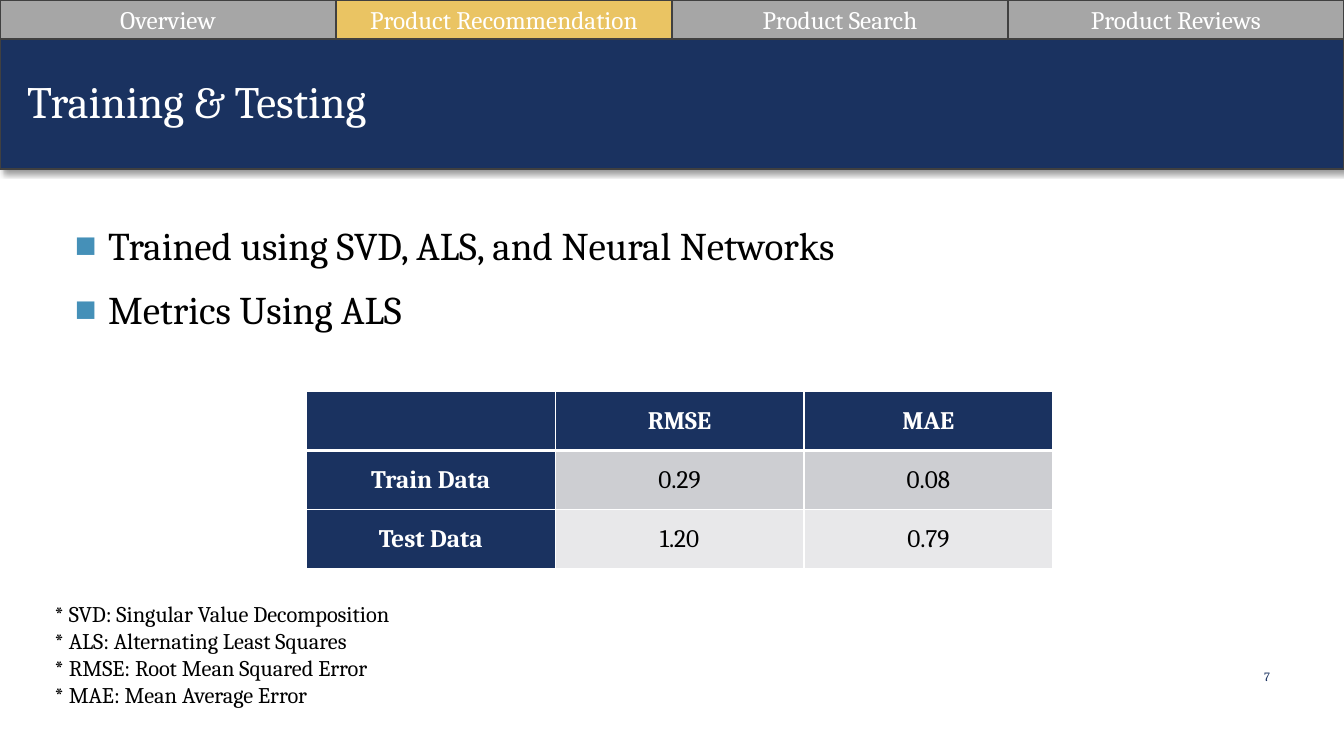
from dataclasses import dataclass

from lxml import etree
from pptx import Presentation
from pptx.dml.color import RGBColor
from pptx.enum.shapes import MSO_SHAPE
from pptx.enum.text import MSO_ANCHOR, MSO_AUTO_SIZE, PP_ALIGN
from pptx.oxml.ns import qn
from pptx.util import Cm, Pt

RECT = MSO_SHAPE.RECTANGLE
LEFT, CENTER, RIGHT = PP_ALIGN.LEFT, PP_ALIGN.CENTER, PP_ALIGN.RIGHT
TOP, MIDDLE = MSO_ANCHOR.TOP, MSO_ANCHOR.MIDDLE
NO_FIT = MSO_AUTO_SIZE.NONE

FONT = "Cambria"
COLORS = {
    "navy": "1A3260",
    "gold": "EAC463",
    "gray": "A6A6A6",
    "outline": "404040",
    "bullet": "4590B8",
    "band_dark": "CDCED2",
    "band_light": "E8E8EA",
    "white": "FFFFFF",
    "black": "000000",
}
SLIDE_W, SLIDE_H = 33.87, 19.05
TABS = ["Overview", "Product Recommendation", "Product Search", "Product Reviews"]
ACTIVE_TAB = "Product Recommendation"
TOPICS = ["Trained using SVD, ALS, and Neural Networks", "Metrics Using ALS"]
METRICS = [
    ["", "RMSE", "MAE"],
    ["Train Data", "0.29", "0.08"],
    ["Test Data", "1.20", "0.79"],
]
BANDS = ["navy", "band_dark", "band_light"]
FOOTNOTES = [
    "* SVD: Singular Value Decomposition",
    "* ALS: Alternating Least Squares",
    "* RMSE: Root Mean Squared Error",
    "* MAE: Mean Average Error",
]


@dataclass
class Box:
    """Position and size in centimetres."""
    left: float
    top: float
    width: float
    height: float

    def emu(self) -> list:
        return [Cm(v) for v in (self.left, self.top, self.width, self.height)]


@dataclass
class Style:
    size: float
    color: str
    align: PP_ALIGN = LEFT
    anchor: MSO_ANCHOR = TOP
    bold: bool = False


def rgb(name: str) -> RGBColor:
    return RGBColor.from_string(COLORS[name])


def sub(parent, tag: str, **attrs):
    """Append a DrawingML child element with the given attributes."""
    return etree.SubElement(parent, qn(f"a:{tag}"), {k: str(v) for k, v in attrs.items()})


def write(tf, lines: list[str], style: Style) -> None:
    for i, line in enumerate(lines):
        p = tf.paragraphs[0] if i == 0 else tf.add_paragraph()
        p.alignment = style.align
        r = p.add_run()
        r.text = line
        for name, value in {"name": FONT, "size": Pt(style.size), "bold": style.bold}.items():
            setattr(r.font, name, value)
        r.font.color.rgb = rgb(style.color)


def fill_frame(tf, lines: list[str], style: Style) -> None:
    for name, value in {"word_wrap": True, "auto_size": NO_FIT,
                        "vertical_anchor": style.anchor}.items():
        setattr(tf, name, value)
    write(tf, lines, style)


def add_text(s, box: Box, lines: list[str], style: Style) -> None:
    fill_frame(s.shapes.add_textbox(*box.emu()).text_frame, lines, style)


def fill_placeholder(ph, box: Box, lines: list[str], style: Style) -> None:
    for name, value in zip(("left", "top", "width", "height"), box.emu()):
        setattr(ph, name, value)
    fill_frame(ph.text_frame, lines, style)


def add_rect(s, box: Box, fill: str, line_width: float):
    sp = s.shapes.add_shape(RECT, *box.emu())
    sp.fill.solid()
    sp.fill.fore_color.rgb = rgb(fill)
    sp.line.color.rgb = rgb("outline")
    sp.line.width = Pt(line_width)
    sp.shadow.inherit = False
    return sp


def add_banner(s) -> None:
    """Draw the shadowed title band behind the placeholders."""
    sp = add_rect(s, Box(0, 0.97, SLIDE_W, 3.3), "navy", 1.5)
    effects = sp._element.spPr.find(qn("a:effectLst"))
    shadow = sub(effects, "outerShdw", blurRad=Pt(4), dist=Pt(3), dir=45 * 60000,
                 algn="tl", rotWithShape=0)
    sub(sub(shadow, "srgbClr", val=COLORS["black"]), "alpha", val=40000)
    s.shapes._spTree.insert(2, sp._element)


def add_tabs(s) -> None:
    width = SLIDE_W / len(TABS)
    style = Style(18, "white", CENTER, MIDDLE)
    for i, label in enumerate(TABS):
        fill = "gold" if label == ACTIVE_TAB else "gray"
        sp = add_rect(s, Box(i * width, 0, width, 0.99), fill, 1.75)
        fill_frame(sp.text_frame, [label], style)


def add_bullets(tf) -> None:
    for p in tf.paragraphs:
        p.space_after = Pt(6)
        pPr = p._p.get_or_add_pPr()
        pPr.set("marL", str(Cm(0.84)))
        pPr.set("indent", str(-Cm(0.84)))
        sub(sub(pPr, "buClr"), "srgbClr", val=COLORS["bullet"])
        sub(pPr, "buSzPct", val=92000)
        sub(pPr, "buChar", char="■")


def set_borders(cell, widths: dict[str, float]) -> None:
    """Give the cell white borders; must run before its fill is set."""
    tcPr = cell._tc.get_or_add_tcPr()
    for side, width in widths.items():
        ln = sub(tcPr, f"ln{side}", w=Pt(width))
        sub(sub(ln, "solidFill"), "srgbClr", val=COLORS["white"])


def add_metrics(s) -> None:
    rows, cols = len(METRICS), len(METRICS[0])
    box = Box(7.72, 9.86, cols * 6.27, rows * 1.49)
    table = s.shapes.add_table(rows, cols, *box.emu()).table
    for r, values in enumerate(METRICS):
        for c, value in enumerate(values):
            cell = table.cell(r, c)
            heading = r == 0 or c == 0
            set_borders(cell, {"L": 1, "R": 1, "T": 3 if r == 1 else 1, "B": 3 if r == 0 else 1})
            cell.fill.solid()
            cell.fill.fore_color.rgb = rgb("navy" if heading else BANDS[r])
            cell.vertical_anchor = MIDDLE
            if value:
                color = "white" if heading else "black"
                write(cell.text_frame, [value], Style(18, color, CENTER, bold=heading))


def main() -> None:
    prs = Presentation()
    prs.slide_width, prs.slide_height = Cm(SLIDE_W), Cm(SLIDE_H)
    s = prs.slides.add_slide(prs.slide_layouts[1])
    title, body = s.placeholders
    add_banner(s)
    fill_placeholder(title, Box(0.43, 1.73, 33.45, 1.63), ["Training & Testing"],
                     Style(32, "white"))
    fill_placeholder(body, Box(1.63, 5.46, 30.63, 12.09), TOPICS, Style(28, "black"))
    add_bullets(body.text_frame)
    add_tabs(s)
    add_metrics(s)
    add_text(s, Box(1.12, 15.01, 18.52, 3), FOOTNOTES, Style(16, "black"))
    add_text(s, Box(29.34, 16.54, 2.92, 1.02), ["7"], Style(9, "navy", RIGHT, MIDDLE))
    prs.save("out.pptx")


if __name__ == "__main__":
    main()
